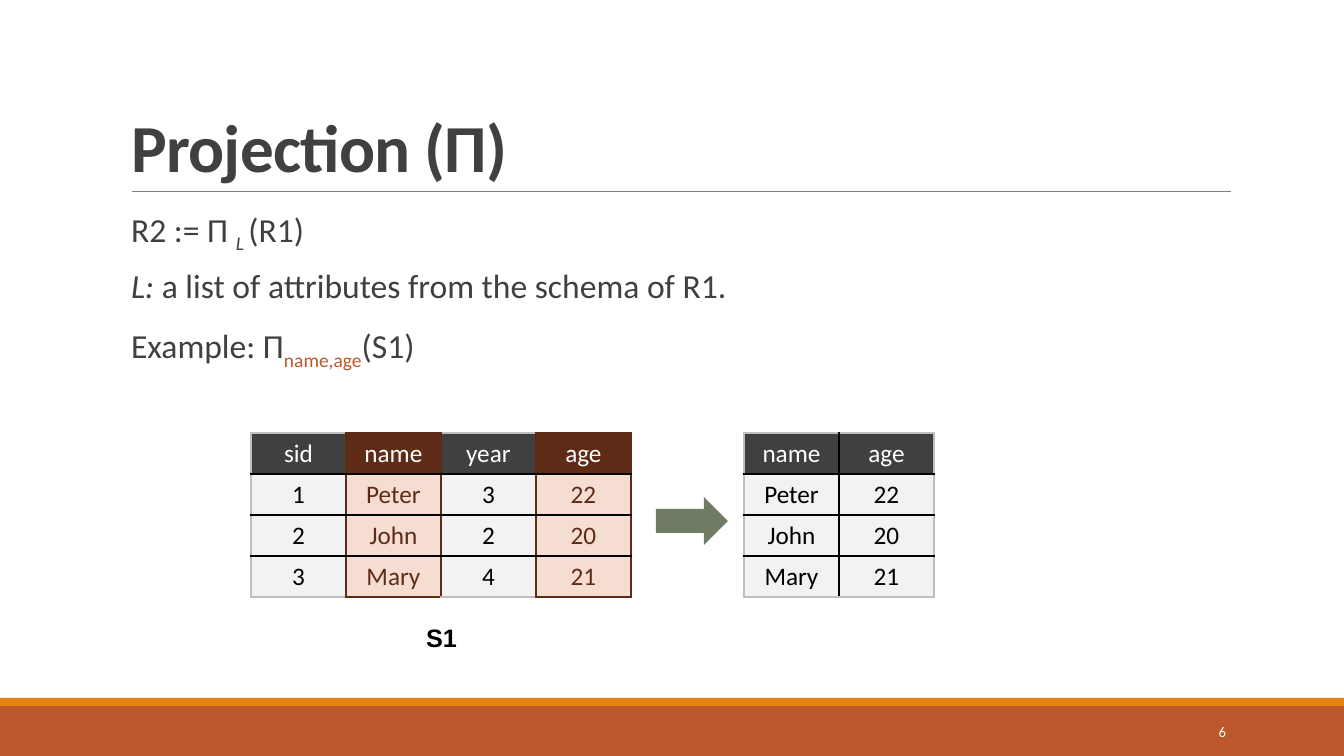
import pptx
import pptx.util
import pptx.dml.color
import pptx.enum.shapes
import pptx.enum.text
import pptx.oxml
import pptx.oxml.ns

PX = 914400 / 100.8  # EMU in one px
COLORS = {
    "text": "404040", "rust": "BD582C", "orange": "E48312", "rule": "808080",
    "brown": "5E2C16", "peach": "F5DDD2", "cell": "F2F2F2", "edge": "BFBFBF",
    "green": "6F7B63", "white": "FFFFFF", "black": "000000",
}
RGB = {name: pptx.dml.color.RGBColor.from_string(c) for name, c in COLORS.items()}
ALIGN = pptx.enum.text.PP_ALIGN
ANCHOR = pptx.enum.text.MSO_ANCHOR
SHAPE = pptx.enum.shapes.MSO_SHAPE


def box(*lengths):
    return [round(n * PX) for n in lengths]


def add_run(p, text, size, color, font="Calibri", bold=False, italic=False, baseline=0):
    r = p.add_run()
    r.text = text
    r.font.size = pptx.util.Pt(size)
    r.font.name = font
    r.font.bold = bold
    r.font.italic = italic
    r.font.color.rgb = RGB[color]
    if baseline:
        r._r.get_or_add_rPr().set("baseline", str(baseline * 1000))
    return r


prs = pptx.Presentation()
prs.slide_width, prs.slide_height = box(1344, 756)
s = prs.slides.add_slide(prs.slide_layouts[1])
title, body = s.placeholders

# Footer bands and block arrow
for kind, rect, color in [
    (SHAPE.RECTANGLE, (0, 706, 1344, 50), "rust"),
    (SHAPE.RECTANGLE, (0, 698, 1344, 8), "orange"),
    (SHAPE.RIGHT_ARROW, (656, 497, 72, 48), "green"),
]:
    sp = s.shapes.add_shape(kind, *box(*rect))
    sp.shadow.inherit = False
    sp.fill.solid()
    sp.fill.fore_color.rgb = RGB[color]
    sp.line.fill.background()

# Rule under the title
rule = s.shapes.add_connector(
    pptx.enum.shapes.MSO_CONNECTOR.STRAIGHT, *box(132, 191, 1231, 191))
rule.line.color.rgb = RGB["rule"]
rule.line.width = pptx.util.Pt(0.5)
rule._element.spPr.append(pptx.oxml.parse_xml(
    f'<a:effectLst {pptx.oxml.ns.nsdecls("a")}/>'))

# Title
title.left, title.top, title.width, title.height = box(121, 31, 1109, 160)
tf = title.text_frame
tf.auto_size = pptx.enum.text.MSO_AUTO_SIZE.NONE
tf.vertical_anchor = ANCHOR.BOTTOM
p = tf.paragraphs[0]
p.alignment = ALIGN.LEFT
p.line_spacing = 0.85
r = add_run(p, "Projection (Π)", 48, "text", bold=True)
r._r.get_or_add_rPr().set("spc", "-50")

# Body
body.left, body.top, body.width, body.height = box(121, 204, 1109, 444)
tf = body.text_frame
tf.auto_size = pptx.enum.text.MSO_AUTO_SIZE.NONE
tf.margin_left = tf.margin_right = 0
lines = [
    [("R2 := Π ", {}), ("L ", {"italic": True, "baseline": -25}), ("(R1)", {})],
    [("L: ", {"italic": True}), ("a list of attributes from the schema of R1.", {})],
    [("Example: Π", {}), ("name,age", {"color": "rust", "baseline": -25}), ("(S1)", {})],
]
for i, runs in enumerate(lines):
    p = tf.paragraphs[0] if i == 0 else tf.add_paragraph()
    p.line_spacing = 0.9
    p.space_before = pptx.util.Pt(12 if i else 0)
    p.space_after = pptx.util.Pt(2)
    pPr = p._p.get_or_add_pPr()
    pPr.set("marL", "91440")
    pPr.set("indent", "-91440")
    pPr.append(pptx.oxml.parse_xml(
        f'<a:buChar {pptx.oxml.ns.nsdecls("a")} char=" "/>'))
    for text, style in runs:
        add_run(p, text, 24, **{"color": "text", **style})

# Tables: highlighted columns get brown borders on their outline
COL, ROW = 95, 41
students = [
    ["sid", "name", "year", "age"],
    ["1", "Peter", "3", "22"],
    ["2", "John", "2", "20"],
    ["3", "Mary", "4", "21"],
]
picked = [1, 3]
projection = [[row[j] for j in picked] for row in students]
for left, rows, marked in [(251, students, picked), (744, projection, [])]:
    n_rows, n_cols = len(rows), len(rows[0])
    frame = s.shapes.add_table(
        n_rows, n_cols, *box(left, 433, COL * n_cols, ROW * n_rows))
    table = frame.table
    for i, row in enumerate(rows):
        table.rows[i].height = round(ROW * PX)
        for j, text in enumerate(row):
            table.columns[j].width = round(COL * PX)
            cell = table.cell(i, j)
            hot = j in marked
            sides = {
                "L": (hot or j - 1 in marked, j == 0),
                "R": (hot or j + 1 in marked, j == n_cols - 1),
                "T": (hot and i == 0, i == 0),
                "B": (hot and i == n_rows - 1, i == n_rows - 1),
            }
            for side, (brown, outer) in sides.items():
                color = "brown" if brown else "edge" if outer else "black"
                cell._tc.get_or_add_tcPr().append(pptx.oxml.parse_xml(
                    f'<a:ln{side} {pptx.oxml.ns.nsdecls("a")} w="{28575 if brown else 12700}">'
                    f'<a:solidFill><a:srgbClr val="{COLORS[color]}"/></a:solidFill></a:ln{side}>'))
            if i == 0:
                fill, ink = ("brown" if hot else "text"), "white"
            else:
                fill, ink = ("peach", "brown") if hot else ("cell", "black")
            cell.fill.solid()
            cell.fill.fore_color.rgb = RGB[fill]
            p = cell.text_frame.paragraphs[0]
            p.alignment = ALIGN.CENTER
            add_run(p, text, 18, ink)

# Slide number and table caption
for rect, text, align, anchor, size, color, font, bold in [
    ((1092, 712, 144, 40), "6", ALIGN.RIGHT, ANCHOR.MIDDLE, 10.5, "white", "Calibri", False),
    ((382, 617, 119, 40), "S1", ALIGN.CENTER, ANCHOR.TOP, 18, "black", "Arial", True),
]:
    tf = s.shapes.add_textbox(*box(*rect)).text_frame
    tf.word_wrap = True
    tf.vertical_anchor = anchor
    p = tf.paragraphs[0]
    p.alignment = align
    add_run(p, text, size, color, font, bold)

prs.save("out.pptx")
